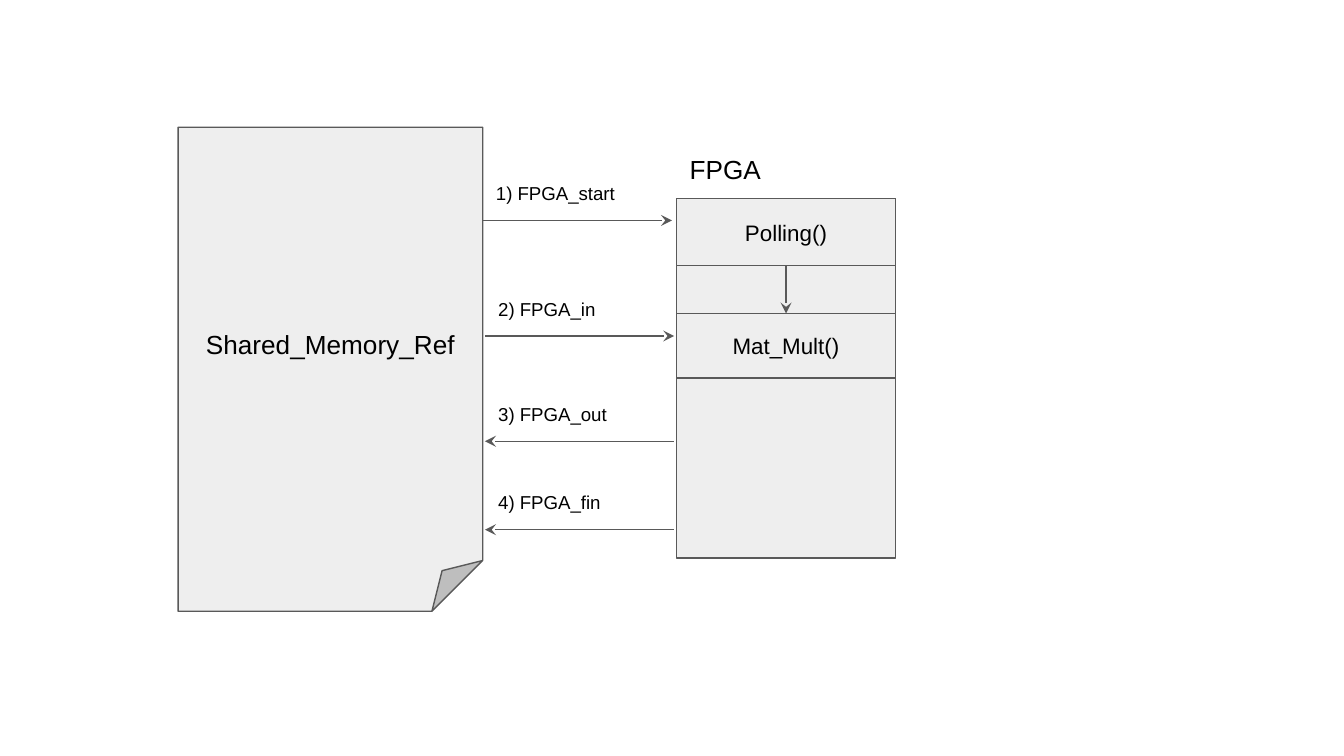
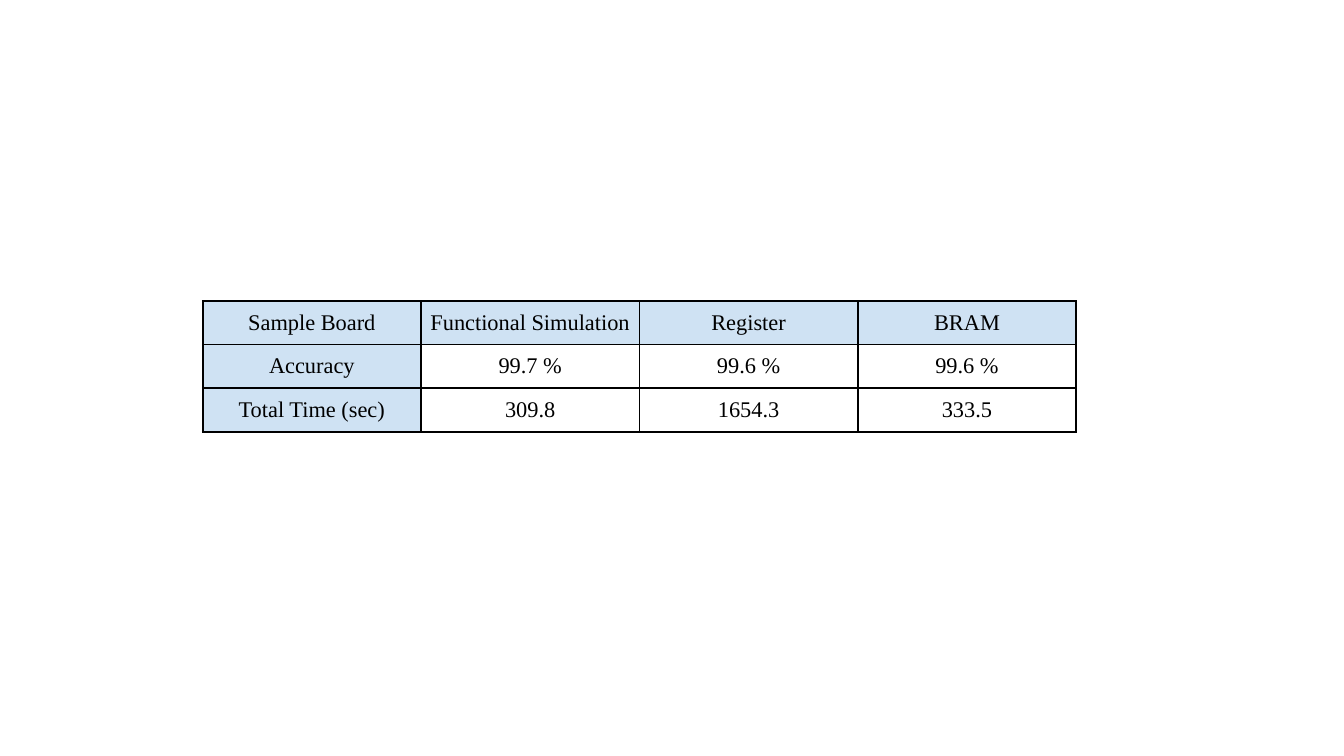
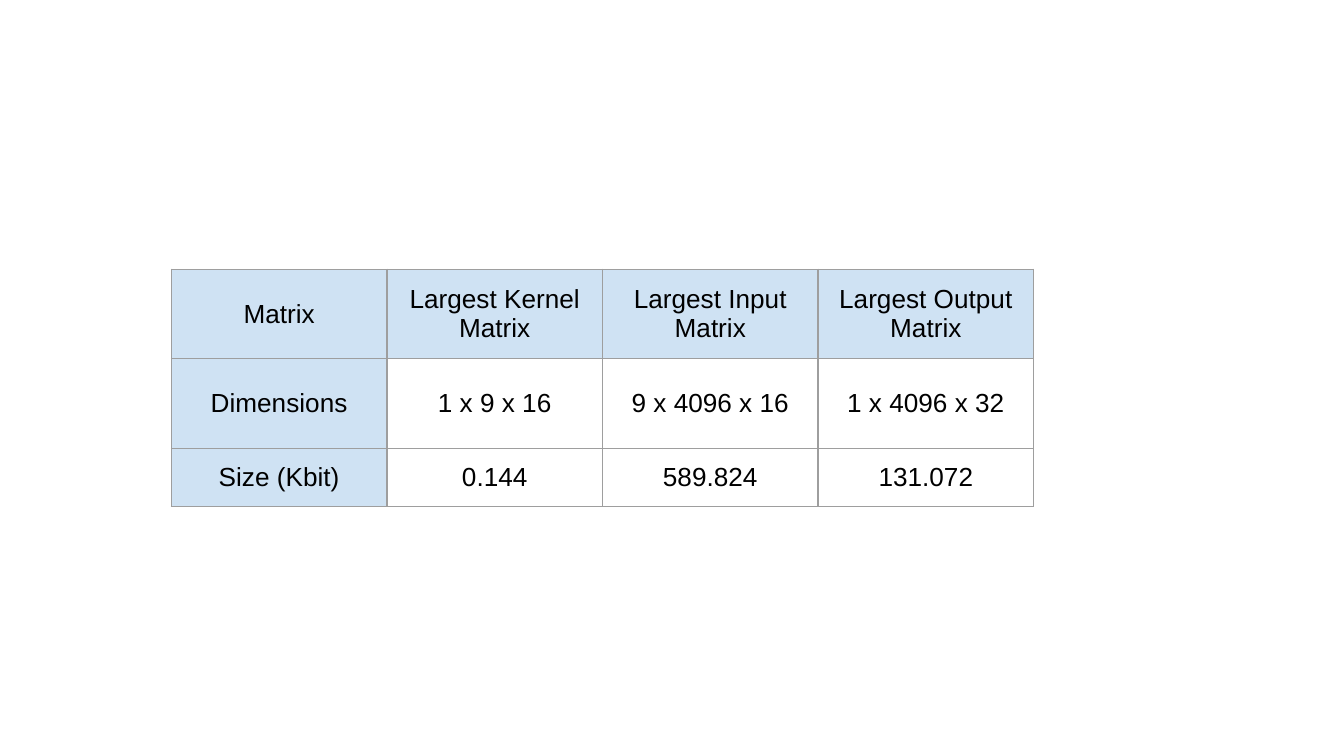
from dataclasses import dataclass

from lxml import etree
from pptx import Presentation
from pptx.dml.color import RGBColor
from pptx.enum.shapes import MSO_CONNECTOR, MSO_SHAPE
from pptx.enum.text import MSO_ANCHOR, MSO_AUTO_SIZE, PP_ALIGN
from pptx.oxml.ns import qn
from pptx.util import Pt

RECT, FOLDED = MSO_SHAPE.RECTANGLE, MSO_SHAPE.FOLDED_CORNER
STRAIGHT = MSO_CONNECTOR.STRAIGHT
TOP, MIDDLE = MSO_ANCHOR.TOP, MSO_ANCHOR.MIDDLE
LEFT, CENTER = PP_ALIGN.LEFT, PP_ALIGN.CENTER
GROW = MSO_AUTO_SIZE.SHAPE_TO_FIT_TEXT
BLANK_LAYOUT = 6


@dataclass(frozen=True)
class Theme:
    """Colours, fonts, type sizes and line widths of the deck."""
    text: str = "000000"
    box: str = "EEEEEE"
    stroke: str = "595959"
    header: str = "CFE2F3"
    grid_dark: str = "000000"
    grid_light: str = "9E9E9E"
    sans: str = "Arial"
    serif: str = "Times New Roman"
    large: int = 14
    medium: int = 12
    small: int = 10
    thin: float = 0.75
    inset: float = 7.2


T = Theme()


def rgb(code):
    """Turn a hex code into a colour."""
    return RGBColor.from_string(code)


def set_all(obj, values):
    """Set attributes from a dict of format values."""
    for name, value in values.items():
        setattr(obj, name, value)


def margins(inset):
    """Give the same margin on all four sides."""
    return {f"margin_{side}": Pt(inset) for side in ("left", "top", "right", "bottom")}


def write(tf, text, size, font=T.sans, align=LEFT):
    """Write one formatted paragraph into a text frame."""
    p = tf.paragraphs[0]
    p.alignment = align
    r = p.add_run()
    r.text = text
    set_all(r.font, {"name": font, "size": Pt(size)})
    r.font.color.rgb = rgb(T.text)


def add_box(s, kind, x, y, w, h, text="", size=T.medium):
    """Add an outlined grey shape, with centred text if there is any."""
    sp = s.shapes.add_shape(kind, Pt(x), Pt(y), Pt(w), Pt(h))
    sp.shadow.inherit = False
    sp.fill.solid()
    sp.fill.fore_color.rgb = rgb(T.box)
    sp.line.color.rgb = rgb(T.stroke)
    sp.line.width = Pt(T.thin)
    if text:
        set_all(sp.text_frame, {"word_wrap": True, "vertical_anchor": MIDDLE,
                                **margins(T.inset)})
        write(sp.text_frame, text, size, align=CENTER)


def add_label(s, x, y, w, h, text, size):
    """Add a left-aligned text box."""
    tf = s.shapes.add_textbox(Pt(x), Pt(y), Pt(w), Pt(h)).text_frame
    set_all(tf, {"word_wrap": True, "auto_size": GROW, "vertical_anchor": TOP,
                 **margins(T.inset)})
    write(tf, text, size)


def add_arrow(s, x1, y1, x2, y2, end="tailEnd"):
    """Add a line with a stealth arrowhead at the given end."""
    line = s.shapes.add_connector(STRAIGHT, Pt(x1), Pt(y1), Pt(x2), Pt(y2))
    line.line.color.rgb = rgb(T.stroke)
    line.line.width = Pt(T.thin)
    etree.SubElement(line.line._get_or_add_ln(), qn(f"a:{end}"), type="stealth")
    etree.SubElement(line._element.spPr, qn("a:effectLst"))


def set_borders(cell, color, width):
    """Draw the same border on all sides of a cell."""
    tc_pr = cell._tc.get_or_add_tcPr()
    for i, side in enumerate(("lnL", "lnR", "lnT", "lnB")):
        ln = etree.Element(qn(f"a:{side}"), w=str(Pt(width)))
        fill = etree.SubElement(ln, qn("a:solidFill"))
        etree.SubElement(fill, qn("a:srgbClr"), val=color)
        tc_pr.insert(i, ln)


def add_grid(s, x, y, col_width, row_heights, rows, font, size, inset, border):
    """Add a table whose first row and first column are shaded."""
    n_cols = len(rows[0])
    table = s.shapes.add_table(len(rows), n_cols, Pt(x), Pt(y),
                               Pt(col_width * n_cols), Pt(sum(row_heights))).table
    set_all(table, {"first_row": False, "horz_banding": False})
    for col in table.columns:
        col.width = Pt(col_width)
    for i, (height, texts) in enumerate(zip(row_heights, rows)):
        table.rows[i].height = Pt(height)
        for j, text in enumerate(texts):
            cell = table.cell(i, j)
            set_all(cell, {"vertical_anchor": MIDDLE, **margins(inset)})
            if i == 0 or j == 0:
                cell.fill.solid()
                cell.fill.fore_color.rgb = rgb(T.header)
            else:
                cell.fill.background()
            set_borders(cell, *border)
            write(cell.text_frame, text, size, font, CENTER)


def build_handshake(s):
    """Draw the signals between shared memory and the FPGA."""
    add_box(s, FOLDED, 95.4, 68.2, 163.2, 259.3, "Shared_Memory_Ref", T.large)

    x, y, w = 362.4, 106.4, 117.4
    add_label(s, x, y - 31.6, 88, 31.6, "FPGA", T.large)
    add_box(s, RECT, x, y, w, 192.5)
    add_box(s, RECT, x, y, w, 35.8, "Polling()")
    add_box(s, RECT, x, 168, w, 34.5, "Mat_Mult()")
    add_arrow(s, x + w / 2, y + 35.8, x + w / 2, 168)

    length, label_h = 101.4, 26.6
    signals = [
        ("1) FPGA_start", 258.6, 118.1, "tailEnd"),
        ("2) FPGA_in", 259.8, 180, "tailEnd"),
        ("3) FPGA_out", 259.8, 236.4, "headEnd"),
        ("4) FPGA_fin", 259.8, 283.8, "headEnd"),
    ]
    for text, left, level, end in signals:
        add_arrow(s, left, level, left + length, level, end)
        add_label(s, left, level - label_h, 87, label_h, text, T.small)


def build_results(s):
    """Show accuracy and run time of each design."""
    rows = [
        ["Sample Board", "Functional Simulation", "Register", "BRAM"],
        ["Accuracy", "99.7 %", "99.6 %", "99.6 %"],
        ["Total Time (sec)", "309.8", "1654.3", "333.5"],
    ]
    add_grid(s, 108.6, 161.2, 117, [23.4] * 3, rows, T.serif, T.medium, 5,
             (T.grid_dark, 1))


def build_matrix_sizes(s):
    """Show the dimensions and size of the largest matrices."""
    rows = [
        ["Matrix", "Largest Kernel Matrix", "Largest Input Matrix",
         "Largest Output Matrix"],
        ["Dimensions", "1 x 9 x 16", "9 x 4096 x 16", "1 x 4096 x 32"],
        ["Size (Kbit)", "0.144", "589.824", "131.072"],
    ]
    add_grid(s, 91.8, 144.2, 115.5, [48, 48, 31], rows, T.sans, T.large, T.inset,
             (T.grid_light, T.thin))


def main():
    """Build and save the deck."""
    prs = Presentation()
    set_all(prs, {"slide_width": Pt(720), "slide_height": Pt(405)})
    for build in (build_handshake, build_results, build_matrix_sizes):
        build(prs.slides.add_slide(prs.slide_layouts[BLANK_LAYOUT]))
    prs.save("out.pptx")


main()
